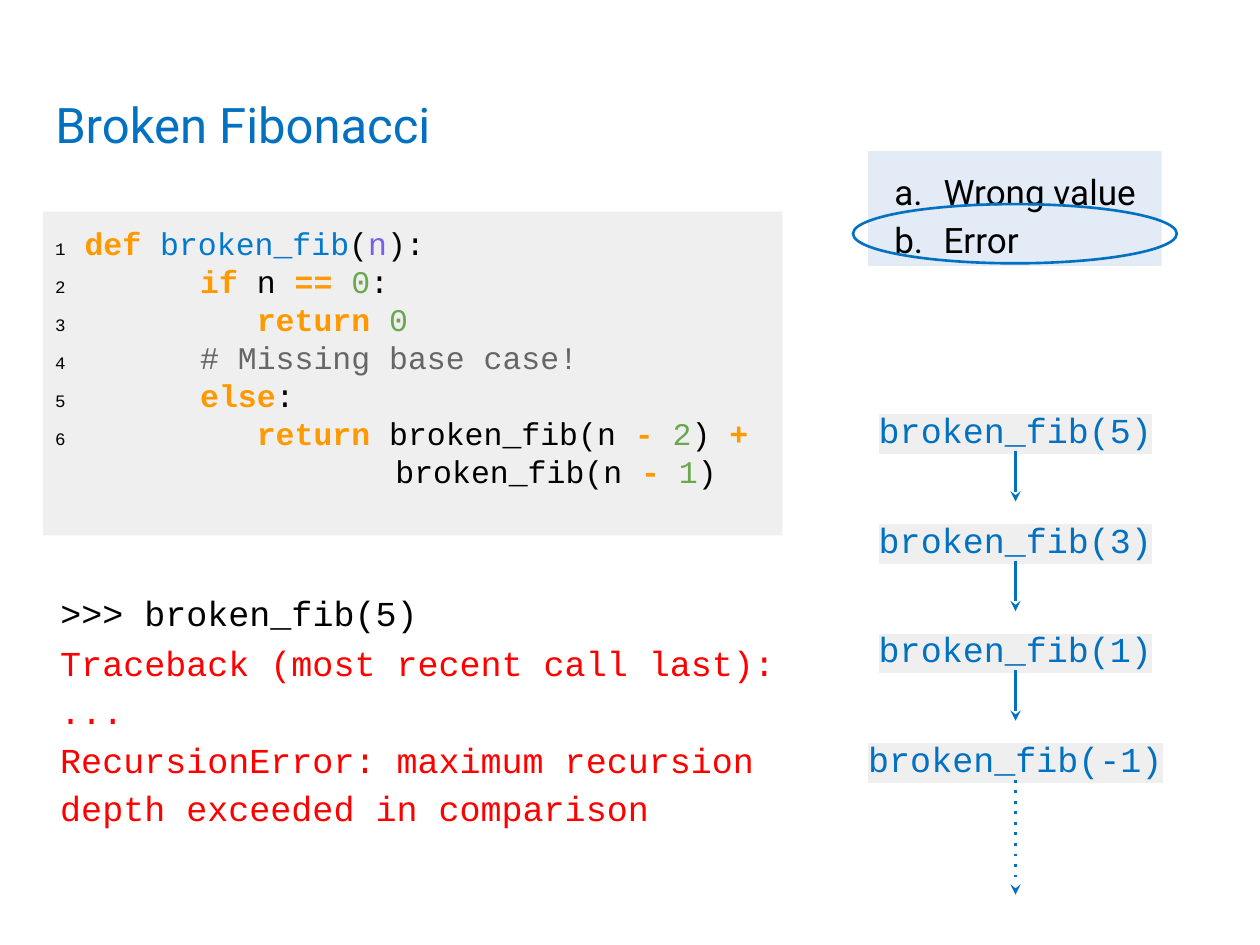
from lxml.etree import SubElement
from pptx import Presentation
from pptx.dml.color import RGBColor
from pptx.enum.shapes import MSO_CONNECTOR, MSO_SHAPE
from pptx.enum.text import MSO_ANCHOR, PP_ALIGN
from pptx.oxml.ns import qn
from pptx.util import Inches, Pt

SANS, MONO = "Roboto", "Courier New"
BLUE, BLACK, GRAY, RED = "0371C1", "000000", "EFEFEF", "FF0000"
KEYWORD, NAME, PARAM, NUMBER, COMMENT = "FF9900", "0378CE", "7A5FE7", "6AA84F", "666666"

CODE = [
    ("1", [(" def ", KEYWORD), ("broken_fib", NAME), ("(", BLACK), ("n", PARAM), ("):", BLACK)]),
    ("2", [("\t ", BLACK), ("if ", KEYWORD), ("n ", BLACK), ("== ", KEYWORD), ("0", NUMBER), (":", BLACK)]),
    ("3", [("\t    ", BLACK), ("return ", KEYWORD), ("0", NUMBER)]),
    ("4", [("\t ", BLACK), ("# Missing base case!", COMMENT)]),
    ("5", [("\t ", BLACK), ("else", KEYWORD), (":", BLACK)]),
    ("6", [("\t    ", BLACK), ("return ", KEYWORD), ("broken_fib(n ", BLACK), ("- ", KEYWORD),
           ("2", NUMBER), (") ", BLACK), ("+", KEYWORD)]),
    ("", [("broken_fib(n ", BLACK), ("- ", KEYWORD), ("1", NUMBER), (")", BLACK)]),
]
TRACEBACK = [
    "Traceback (most recent call last):",
    "...",
    "RecursionError: maximum recursion depth exceeded in comparison",
]


def rgb(value):
    return RGBColor.from_string(value)


class Deck:
    """Holds the style and the current slide, and draws each kind of element."""

    def __init__(self, width, height):
        self.prs = Presentation()
        self.prs.slide_width, self.prs.slide_height = Inches(width), Inches(height)
        self.s = self.prs.slides.add_slide(self.prs.slide_layouts[6])

    def frame(self, sp, bottom=0.1):
        tf = sp.text_frame
        tf.word_wrap = True
        tf.vertical_anchor = MSO_ANCHOR.TOP
        tf.margin_left = tf.margin_right = tf.margin_top = Inches(0.1)
        tf.margin_bottom = Inches(bottom)
        return tf

    def paragraph(self, tf, spacing=1.0, align=PP_ALIGN.LEFT):
        first = len(tf.paragraphs) == 1 and not tf.paragraphs[0].runs
        p = tf.paragraphs[0] if first else tf.add_paragraph()
        p.alignment, p.line_spacing = align, spacing
        return p

    def run(self, p, text, size, font, color, bold=False, highlight=None):
        r = p.add_run()
        r.text = text
        r.font.size, r.font.bold = Pt(size), bold
        r.font.color.rgb = rgb(color)
        if highlight:
            mark = SubElement(r.font._element, qn("a:highlight"))
            SubElement(mark, qn("a:srgbClr"), val=highlight)
        r.font.name = font

    def text(self, box, lines, size, font, color, spacing=1.0):
        sp = self.s.shapes.add_textbox(*map(Inches, box))
        tf = self.frame(sp)
        for line in lines:
            self.run(self.paragraph(tf, spacing), line, size, font, color)

    def shape(self, kind, box, fill=None, line=None):
        sp = self.s.shapes.add_shape(kind, *map(Inches, box))
        sp.shadow.inherit = False
        if fill:
            sp.fill.solid()
            sp.fill.fore_color.rgb = rgb(fill)
        else:
            sp.fill.background()
        if line:
            sp.line.color.rgb = rgb(line)
            sp.line.width = Pt(1.5)
        else:
            sp.line.fill.background()
        return sp

    def code(self, box, lines):
        tf = self.frame(self.shape(MSO_SHAPE.RECTANGLE, box, GRAY))
        for number, tokens in lines:
            p = self.paragraph(tf, Pt(21.7))
            pPr = p._p.get_or_add_pPr()
            if number:
                tabs = SubElement(pPr, qn("a:tabLst"))
                SubElement(tabs, qn("a:tab"), pos=str(Inches(1)), algn="l")
                self.run(p, number, 10, MONO, BLACK)
            else:
                pPr.set("marL", str(Inches(2.7)))
                pPr.set("indent", "0")
            for token, color in tokens:
                self.run(p, token, 18, MONO, color, bold=color == KEYWORD)

    def choices(self, box, options):
        tf = self.frame(self.shape(MSO_SHAPE.RECTANGLE, box, "E3EBF6"))
        for option in options:
            p = self.paragraph(tf, 1.15)
            pPr = p._p.get_or_add_pPr()
            pPr.set("marL", str(Inches(0.5)))
            pPr.set("indent", str(Inches(-0.39)))
            SubElement(SubElement(pPr, qn("a:buClr")), qn("a:srgbClr"), val=BLACK)
            SubElement(pPr, qn("a:buFont"), typeface=SANS)
            SubElement(pPr, qn("a:buAutoNum"), type="alphaLcPeriod")
            self.run(p, option, 20, SANS, BLACK)

    def call(self, box, label):
        sp = self.s.shapes.add_textbox(*map(Inches, box))
        p = self.paragraph(self.frame(sp, bottom=0), Pt(26.4), PP_ALIGN.CENTER)
        self.run(p, label, 20, MONO, BLUE, highlight=GRAY)
        return sp

    def arrow(self, start, end=None, length=0.91):
        x, y = start.left + start.width // 2, start.top + start.height
        c = self.s.shapes.add_connector(MSO_CONNECTOR.STRAIGHT, x, y, x, y + Inches(length))
        c.begin_connect(start, 2)
        if end is not None:
            c.end_connect(end, 0)
        c.line.color.rgb = rgb(BLUE)
        c.line.width = Pt(1.5)
        ln = c.line._get_or_add_ln()
        if end is None:
            SubElement(ln, qn("a:prstDash"), val="dot")
        SubElement(ln, qn("a:tailEnd"), type="stealth")
        SubElement(c._element.spPr, qn("a:effectLst"))


def main():
    deck = Deck(10, 7.5)
    deck.text((0.34, 0.65, 9.32, 0.83), ["Broken Fibonacci"], 28, SANS, BLUE)
    deck.code((0.34, 1.68, 5.87, 2.57), CODE)
    calls = [deck.call((5.96, 3.11 + 0.87 * i, 4.2, 0.47), f"broken_fib({n})")
             for i, n in enumerate((5, 3, 1, -1))]
    for start, end in zip(calls, calls[1:] + [None]):
        deck.arrow(start, end)
    deck.text((0.38, 4.54, 3.42, 0.53), [">>> broken_fib(5)"], 20, MONO, BLACK, Pt(27.7))
    deck.text((0.38, 4.94, 5.94, 1.78), TRACEBACK, 20, MONO, RED, Pt(27.7))
    deck.choices((6.89, 1.2, 2.33, 0.91), ["Wrong value", "Error"])
    deck.shape(MSO_SHAPE.OVAL, (6.77, 1.62, 2.57, 0.47), line=BLUE)
    deck.prs.save("out.pptx")


if __name__ == "__main__":
    main()
